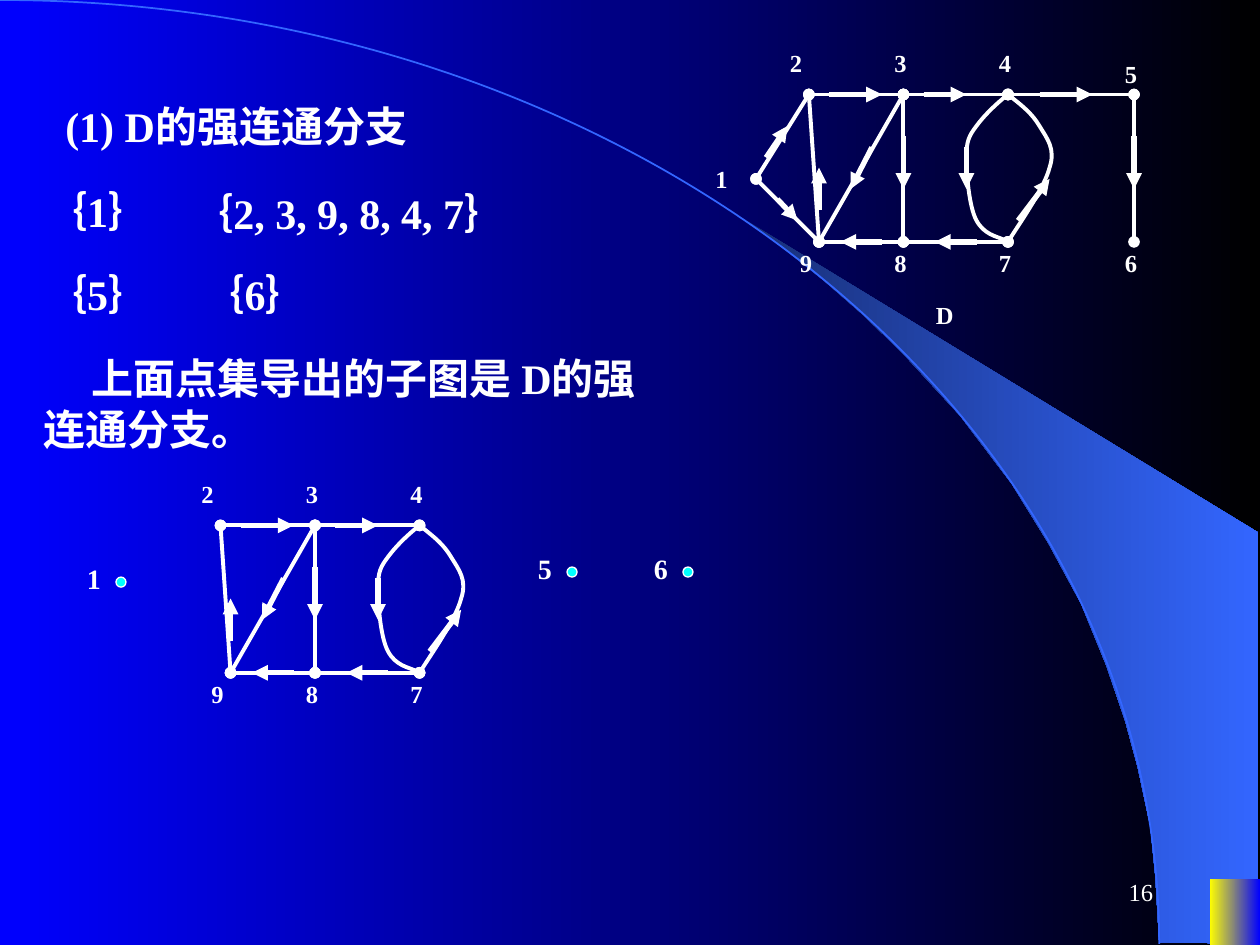
"""Build the slide on the strongly connected components of digraph D."""
from dataclasses import dataclass
from typing import NamedTuple

from lxml.etree import SubElement
from pptx import Presentation
from pptx.dml.color import RGBColor
from pptx.dml.fill import FillFormat
from pptx.enum.shapes import MSO_CONNECTOR, MSO_SHAPE
from pptx.enum.text import MSO_ANCHOR, PP_ALIGN
from pptx.oxml.ns import qn
from pptx.util import Inches, Pt

STRAIGHT = MSO_CONNECTOR.STRAIGHT
RECTANGLE, OVAL = MSO_SHAPE.RECTANGLE, MSO_SHAPE.OVAL
LEFT, RIGHT = PP_ALIGN.LEFT, PP_ALIGN.RIGHT
TOP, MIDDLE = MSO_ANCHOR.TOP, MSO_ANCHOR.MIDDLE
FONT = "Times New Roman"
COLORS = {"white": "FFFFFF", "blue": "0000FF", "black": "000000", "navy": "182F76",
          "azure": "3366FF", "yellow": "FFFF00", "cyan": "00FFFF"}


class Point(NamedTuple):
    x: float
    y: float


@dataclass
class Node:
    at: Point
    label_shift: Point


@dataclass
class Edge:
    start: str
    end: str
    arrow_start: Point
    arrow_end: Point
    bezier: tuple = ()


@dataclass
class Label:
    text: str
    left: float
    top: float
    width: float
    height: float = 0.5
    size: int = 24
    bold: bool = True
    wrap: bool = True
    indent: float = 0
    align: PP_ALIGN = LEFT
    anchor: MSO_ANCHOR = TOP


UPPER, LOWER = 0.75, 1.92
ABOVE, BELOW = Point(-0.17, -0.42), Point(-0.17, 0)
NODES = {
    "1": Node(Point(6, 1.42), Point(-0.42, -0.17)),
    "2": Node(Point(6.42, UPPER), Point(-0.25, -0.42)),
    "3": Node(Point(7.17, UPPER), ABOVE),
    "4": Node(Point(8, UPPER), ABOVE),
    "5": Node(Point(9, UPPER), Point(-0.17, -0.33)),
    "6": Node(Point(9, LOWER), BELOW),
    "7": Node(Point(8, LOWER), BELOW),
    "8": Node(Point(7.17, LOWER), BELOW),
    "9": Node(Point(6.5, LOWER), Point(-0.25, 0)),
}
EDGES = [
    Edge("1", "2", Point(6.08, 1.25), Point(6.25, 1)),
    Edge("1", "9", Point(6.17, 1.58), Point(6.33, 1.75)),
    Edge("9", "2", Point(6.5, 1.67), Point(6.5, 1.33)),
    Edge("2", "3", Point(6.58, UPPER), Point(7, UPPER)),
    Edge("3", "8", Point(7.17, 1.08), Point(7.17, 1.5)),
    Edge("9", "8", Point(7, LOWER), Point(6.67, LOWER)),
    Edge("8", "7", Point(7.75, LOWER), Point(7.42, LOWER)),
    Edge("3", "4", Point(7.33, UPPER), Point(7.67, UPPER)),
    Edge("3", "9", Point(6.92, 1.17), Point(6.75, 1.5)),
    Edge("4", "7", Point(7.67, 1.17), Point(7.67, 1.5), (
        (7.9, 0.83), (7.81, 0.92), (7.75, 1), (7.69, 1.08), (7.67, 1.12), (7.67, 1.25),
        (7.67, 1.37), (7.69, 1.64), (7.75, 1.75), (7.81, 1.86), (7.96, 1.89), (8, LOWER))),
    Edge("4", "7", Point(8.08, 1.75), Point(8.33, 1.42), (
        (8.1, 0.83), (8.19, 0.9), (8.25, 1), (8.31, 1.1), (8.38, 1.18), (8.33, 1.33),
        (8.29, 1.49), (8.06, 1.82), (8, LOWER))),
    Edge("4", "5", Point(8.25, UPPER), Point(8.67, UPPER)),
    Edge("5", "6", Point(9, 1.08), Point(9, 1.5)),
]
STATEMENTS = [
    Label("16", 7.17, 6.83, 2.08, size=14, bold=False, align=RIGHT, anchor=MIDDLE),
    Label("(1) D的强连通分支", 0, 0.75, 5.17, indent=0.42),
    Label("｛1｝", 0.26, 1.42, 1.19, wrap=False),
    Label("｛2, 3, 9, 8, 4, 7｝", 1.42, 1.44, 2.86, wrap=False),
    Label("｛5｝", 0.26, 2.08, 1.19, wrap=False),
    Label("｛6｝", 1.51, 2.08, 1.19, wrap=False),
    Label("上面点集导出的子图是 D的强连通分支。", 0.25, 2.75, 5.17, 0.9, indent=0.38),
]
SINGLETONS = {"1": Point(0.92, 4.58), "6": Point(5.42, 4.5), "5": Point(4.5, 4.5)}
SWOOSH = [(9.2, 7.48), (9.99, 7.49), (9.99, 4.23), (5.89, 1.73), (6.24, 1.99), (6.53, 2.22),
          (6.85, 2.5), (7.16, 2.8), (7.62, 3.3), (8.03, 3.84), (8.32, 4.31), (8.58, 4.79),
          (8.78, 5.28), (8.93, 5.72), (9.03, 6.09), (9.13, 6.56), (9.17, 6.96)]
ARC = [(0, 0), (5.08, 0), (9.2, 3.35), (9.2, 7.49)]


def color(name: str) -> RGBColor:
    return RGBColor.from_string(COLORS[name])


def fill_gradient(fill: FillFormat, first: str, last: str) -> None:
    fill.gradient()
    fill.gradient_angle = 0
    for stop, name in zip(fill.gradient_stops, (first, last)):
        stop.color.rgb = color(name)


def style_line(shape, name: str, width: float, head: str = "none", tail: str = "none") -> None:
    shape.line.color.rgb = color(name)
    shape.line.width = Pt(width)
    outline = shape.element.spPr.find(qn("a:ln"))
    for tag, kind in (("a:headEnd", head), ("a:tailEnd", tail)):
        if kind != "none":
            SubElement(outline, qn(tag), type=kind)


def add_outline(shapes, points: list, close: bool):
    corners = [(Inches(x), Inches(y)) for x, y in points]
    builder = shapes.build_freeform(*corners[0], scale=1.0)
    builder.add_line_segments(corners[1:], close=close)
    outline = builder.convert_to_shape()
    outline.shadow.inherit = False
    outline.fill.background()
    return outline


def add_curve(shapes, knots: list):
    curve = add_outline(shapes, knots, False)
    segments = list(curve.element.iter(qn("a:lnTo")))
    track = segments[0].getparent()
    for first in range(0, len(segments), 3):
        bezier = SubElement(track, qn("a:cubicBezTo"))
        for segment in segments[first:first + 3]:
            bezier.append(segment[0])
            track.remove(segment)
    return curve


def add_line(shapes, start: Point, end: Point, width: float, head: str, tail: str) -> None:
    line = shapes.add_connector(STRAIGHT, *map(Inches, (*start, *end)))
    style_line(line, "white", width, head, tail)
    SubElement(line.element.spPr, qn("a:effectLst"))


def add_label(shapes, label: Label) -> None:
    box = shapes.add_textbox(*map(Inches, (label.left, label.top, label.width, label.height)))
    frame = box.text_frame
    frame.word_wrap, frame.vertical_anchor = label.wrap, label.anchor
    paragraph = frame.paragraphs[0]
    paragraph.alignment = label.align
    if label.indent:
        paragraph._p.get_or_add_pPr().set("indent", str(Inches(label.indent)))
    run = paragraph.add_run()
    run.text = label.text
    run.font.name, run.font.size, run.font.bold = FONT, Pt(label.size), label.bold
    run.font.color.rgb = color("white")


def add_digraph(shapes, names: str, shift: Point) -> None:
    def moved(point: tuple) -> Point:
        return Point(point[0] + shift.x, point[1] + shift.y)

    edges = [edge for edge in EDGES if edge.start in names and edge.end in names]
    for edge in edges:
        start, end = NODES[edge.start].at, NODES[edge.end].at
        if edge.bezier:
            curve = add_curve(shapes, [moved(knot) for knot in (start, *edge.bezier)])
            style_line(curve, "white", 2.25, "oval", "oval")
        else:
            add_line(shapes, moved(start), moved(end), 2.25, "oval", "oval")
    for name in names:
        at, offset = moved(NODES[name].at), NODES[name].label_shift
        add_label(shapes, Label(name, at.x + offset.x, at.y + offset.y, 0.43, 0.34, 14))
    for edge in edges:
        add_line(shapes, moved(edge.arrow_start), moved(edge.arrow_end), 3, "none", "triangle")


def add_singleton(shapes, name: str, at: Point) -> None:
    dot = shapes.add_shape(OVAL, *map(Inches, (*at, 0.08, 0.08)))
    dot.shadow.inherit = False
    dot.fill.solid()
    dot.fill.fore_color.rgb = color("cyan")
    style_line(dot, "white", 0.75)
    add_label(shapes, Label(name, at.x - 0.33, at.y - 0.17, 0.52, 0.37, 16))


def add_backdrop(slide) -> None:
    fill_gradient(slide.background.fill, "blue", "black")
    swoosh = add_outline(slide.shapes, SWOOSH, True)
    fill_gradient(swoosh.fill, "navy", "azure")
    swoosh.line.fill.background()
    style_line(add_curve(slide.shapes, ARC), "azure", 1)
    corner = slide.shapes.add_shape(RECTANGLE, *map(Inches, (9.6, 6.98, 0.4, 0.52)))
    corner.shadow.inherit = False
    fill_gradient(corner.fill, "yellow", "blue")
    corner.line.fill.background()


def main() -> None:
    deck = Presentation()
    deck.slide_width, deck.slide_height = Inches(10), Inches(7.5)
    slide = deck.slides.add_slide(deck.slide_layouts[6])
    add_backdrop(slide)
    for statement in STATEMENTS:
        add_label(slide.shapes, statement)
    whole = slide.shapes.add_group_shape().shapes
    add_digraph(whole, "123456789", Point(0, 0))
    add_label(whole, Label("D", 7.33, 2.33, 0.43, 0.34, 14))
    add_digraph(slide.shapes.add_group_shape().shapes, "234789", Point(-4.67, 3.42))
    for name, at in SINGLETONS.items():
        add_singleton(slide.shapes.add_group_shape().shapes, name, at)
    deck.save("out.pptx")


if __name__ == "__main__":
    main()
